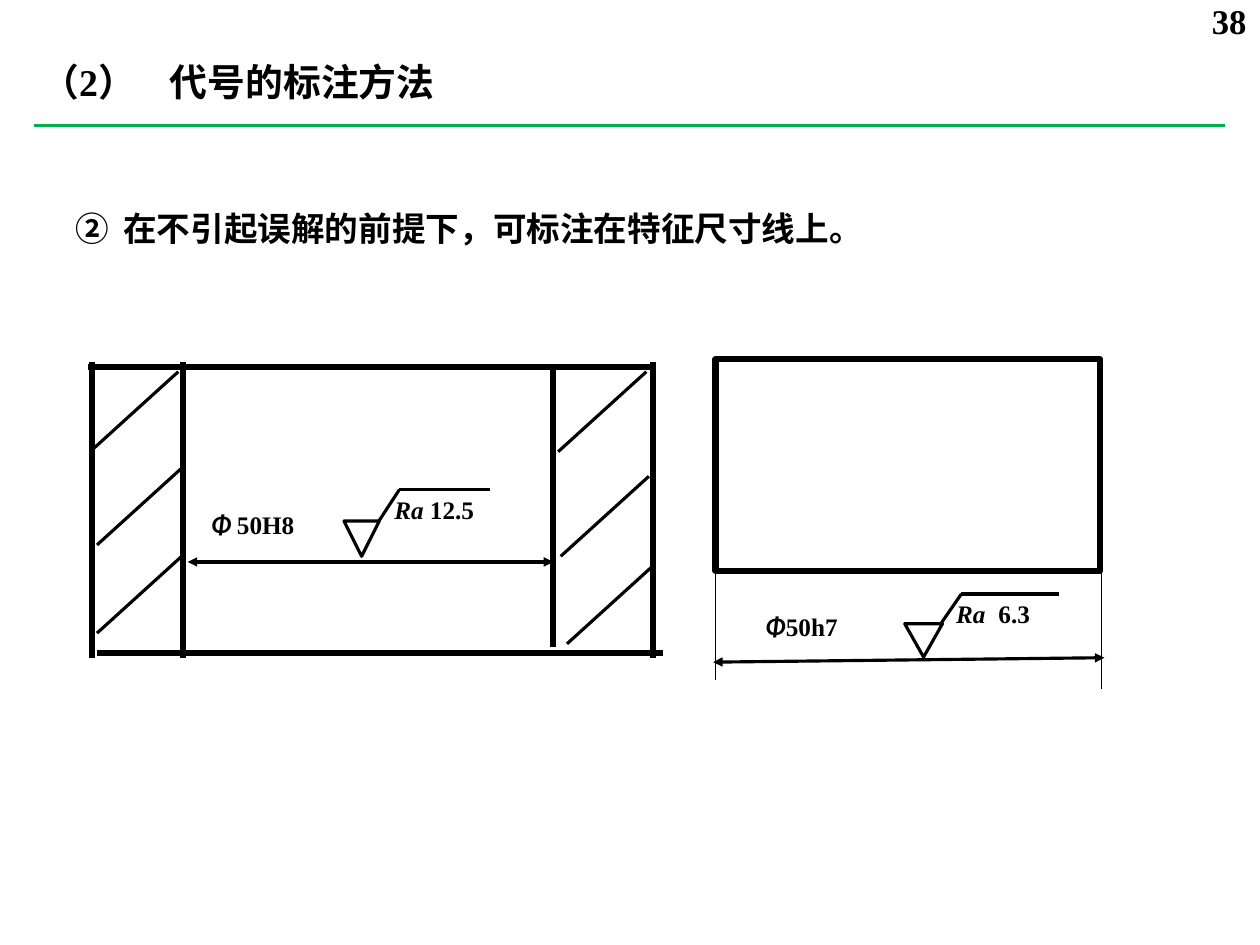
from lxml import etree
from pptx import Presentation
from pptx import util as u
from pptx.dml.color import RGBColor
from pptx.enum import shapes, text
from pptx.oxml import ns

BLACK = RGBColor(0x00, 0x00, 0x00)
GREEN = RGBColor(0x00, 0xB0, 0x50)
COLUMNS, ROWS = 100, 75
THIN, MEDIUM, THICK = 1, 3, 6
SERIF, SYMBOL = "Times New Roman", "Lato"
LABEL_SIZE = 24


class Drawing:
    """Draws on one slide, with lengths in columns and rows of its grid."""

    def __init__(self, presentation):
        self.slide = presentation.slides.add_slide(presentation.slide_layouts[6])
        self.column = presentation.slide_width / COLUMNS
        self.row = presentation.slide_height / ROWS

    def x(self, columns):
        return u.Emu(round(columns * self.column))

    def y(self, rows):
        return u.Emu(round(rows * self.row))

    def box(self, left, top, width, height):
        return self.x(left), self.y(top), self.x(width), self.y(height)

    def line(self, start, end, weight=MEDIUM, color=BLACK, arrows=False):
        connector = self.slide.shapes.add_connector(
            shapes.MSO_CONNECTOR.STRAIGHT,
            self.x(start[0]), self.y(start[1]), self.x(end[0]), self.y(end[1]))
        connector.line.color.rgb = color
        connector.line.width = u.Pt(weight)
        properties = connector._element.spPr
        if arrows:
            outline = properties.find(ns.qn("a:ln"))
            for tag in ("a:headEnd", "a:tailEnd"):
                etree.SubElement(outline, ns.qn(tag), type="triangle")
        etree.SubElement(properties, ns.qn("a:effectLst"))

    def outline(self, kind, place, weight, rotation=0):
        shape = self.slide.shapes.add_shape(kind, *self.box(*place))
        shape.shadow.inherit = False
        shape.fill.background()
        shape.line.color.rgb = BLACK
        shape.line.width = u.Pt(weight)
        shape.rotation = rotation

    def text(self, place, size, *runs, tab=None, align=text.PP_ALIGN.LEFT):
        """Add a bold paragraph; each run is (wording, font, italic)."""
        frame = self.slide.shapes.add_textbox(*self.box(*place)).text_frame
        frame.word_wrap = True
        paragraph = frame.paragraphs[0]
        paragraph.alignment = align
        if tab:
            stops = etree.SubElement(paragraph._p.get_or_add_pPr(), ns.qn("a:tabLst"))
            etree.SubElement(stops, ns.qn("a:tab"), pos=str(self.x(tab)), algn="l")
        for wording, font, italic in runs:
            run = paragraph.add_run()
            run.text = wording
            run.font.name = font
            run.font.size = u.Pt(size)
            run.font.bold = True
            run.font.italic = italic
            run.font.color.rgb = BLACK
        return frame

    def roughness(self, tip, width, height, bar_end, value, gap=" ", tab=None):
        """Draw the surface symbol standing on its tip, with its Ra value."""
        x, y = tip
        bar = y - 1.89 * height
        elbow = (x + 3, bar)
        self.outline(shapes.MSO_SHAPE.ISOSCELES_TRIANGLE,
                     (x - width / 2, y - height, width, height), MEDIUM, 180)
        self.line((x + 1.3, y - 0.96 * height), elbow)
        self.line(elbow, (bar_end, bar))
        self.text((x + 2, bar + 0.05, 11.5, 4.2), LABEL_SIZE,
                  ("Ra" + gap, SERIF, True), (value, SERIF, False), tab=tab)

    def diameter(self, left, top, symbol, tolerance):
        self.text((left, top, 9.5, 3.05), LABEL_SIZE,
                  (symbol, SYMBOL, True), (tolerance, SERIF, False))


def draw_header(drawing):
    number = drawing.text((79.15, -0.85, 20.8, 5), 33, ("38", SERIF, False),
                          align=text.PP_ALIGN.RIGHT)
    number.vertical_anchor = text.MSO_ANCHOR.MIDDLE
    number.margin_left = number.margin_right = u.Inches(0.17)
    number.margin_top = number.margin_bottom = u.Inches(0.08)
    drawing.text((2.7, 4.4, 56, 4.25), 36,
                 ("（2）\t代号的标注方法", SERIF, False), tab=10.2)
    drawing.line((2.7, 9.95), (97.2, 9.95), color=GREEN)
    drawing.text((5.4, 16.2, 69.65, 3.85), 32,
                 ("②\t在不引起误解的前提下，可标注在特征尺寸线上。", SERIF, False), tab=3.8)


def draw_hole(drawing):
    for x, top, bottom in ((7.3, 28.7, 52.2), (14.5, 28.7, 52.2),
                           (43.9, 29.1, 51.35), (51.85, 28.7, 52.2)):
        drawing.line((x, top), (x, bottom), THICK)
    for y, left, right in ((29.1, 7, 51.85), (51.8, 7.7, 52.6)):
        drawing.line((left, y), (right, y), THICK)
    for x, y in ((14.15, 29.5), (14.7, 36.9), (14.7, 43.9),
                 (51.3, 29.5), (51.5, 37.8), (52, 44.75)):
        drawing.line((x, y), (x - 7, y + 6.35))
    drawing.line((14.9, 44.6), (43.9, 44.6), arrows=True)
    drawing.diameter(16.2, 40.15, "Φ ", "50H8")
    drawing.roughness((28.7, 44.15), 2.8, 2.8, 38.9, "12.5")


def draw_shaft(drawing):
    drawing.outline(shapes.MSO_SHAPE.RECTANGLE, (56.8, 28.5, 30.5, 16.8), THICK)
    for x, top, bottom in ((56.8, 44.5, 54), (87.4, 45.1, 54.7)):
        drawing.line((x, top), (x, bottom), THIN)
    drawing.line((56.6, 52.55), (87.65, 52.2), arrows=True)
    drawing.diameter(60.2, 48.25, "Φ", "50h7")
    drawing.roughness((73.3, 52.15), 3, 2.65, 84.05, "6.3", gap="\t", tab=3.35)


def main():
    presentation = Presentation()
    presentation.slide_width = u.Inches(16.67)
    presentation.slide_height = u.Inches(12.5)
    drawing = Drawing(presentation)
    draw_header(drawing)
    draw_hole(drawing)
    draw_shaft(drawing)
    presentation.save("out.pptx")


if __name__ == "__main__":
    main()
